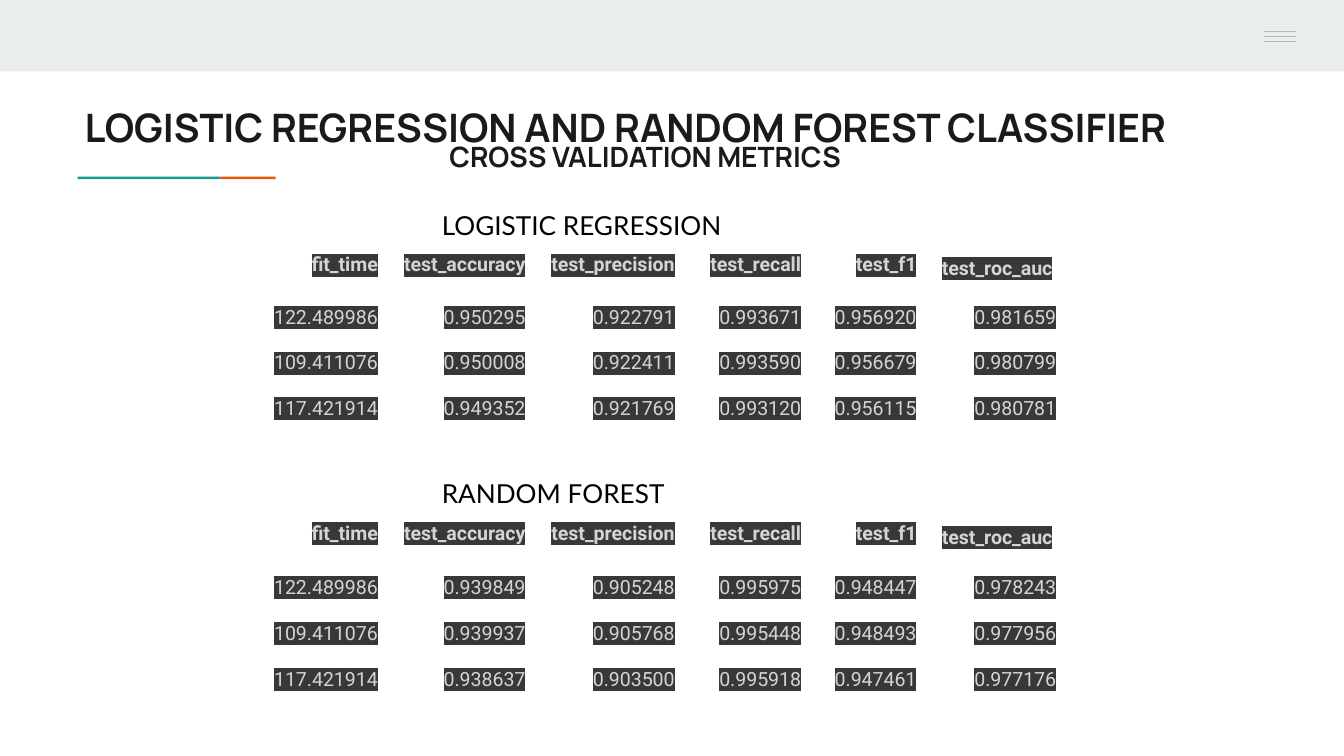
from lxml import etree
from pptx import Presentation
from pptx.dml.color import RGBColor
from pptx.enum import shapes, text
from pptx.oxml.ns import qn
from pptx.util import Cm, Pt

# Content
TITLE = "LOGISTIC REGRESSION AND RANDOM FOREST CLASSIFIER"
SUB = "CROSS VALIDATION METRICS"
HEAD = ["fit_time", "test_accuracy", "test_precision",
        "test_recall", "test_f1", "test_roc_auc"]
# Label, label top, table top, rows
MODELS = [
    ("LOGISTIC REGRESSION", 3.71, 4.55, [
        ["122.489986", "0.950295", "0.922791", "0.993671", "0.956920", "0.981659"],
        ["109.411076", "0.950008", "0.922411", "0.993590", "0.956679", "0.980799"],
        ["117.421914", "0.949352", "0.921769", "0.993120", "0.956115", "0.980781"]]),
    ("RANDOM FOREST", 8.77, 9.63, [
        ["122.489986", "0.939849", "0.905248", "0.995975", "0.948447", "0.978243"],
        ["109.411076", "0.939937", "0.905768", "0.995448", "0.948493", "0.977956"],
        ["117.421914", "0.938637", "0.903500", "0.995918", "0.947461", "0.977176"]]),
]
COLS = [2.49, 2.79, 2.82, 2.39, 2.18, 2.64]
ROWS = [0.76, 0.81, 0.86, 0.81]
HUE = {"band": "E9EDEE", "teal": "1A9988", "orange": "EB5600", "menu": "B7B7B7",
       "title": "1A1A1A", "label": "000000", "cell": "D5D5D5", "mark": "383838"}
# Left, top, width, height, colour
BARS = [(0, 0, 25.4, 1.35, "band"),
        (1.47, 3.34, 2.7, 0.05, "teal"),
        (4.17, 3.34, 1.04, 0.05, "orange")]


def rgb(key):
    return RGBColor.from_string(HUE[key])


def style(run, name, size, key, bold=False):
    font = run.font
    font.name, font.size, font.bold = name, Pt(size), bold
    font.color.rgb = rgb(key)


def inset(box, side):
    box.margin_left = box.margin_right = Cm(side)
    box.margin_top = box.margin_bottom = Cm(side)


deck = Presentation()
deck.slide_width, deck.slide_height = Cm(25.4), Cm(14.29)
slide = deck.slides.add_slide(deck.slide_layouts[5])

# Top band and two-colour rule
for x, y, w, h, key in BARS:
    bar = slide.shapes.add_shape(shapes.MSO_SHAPE.RECTANGLE,
                                 Cm(x), Cm(y), Cm(w), Cm(h))
    bar.shadow.inherit = False
    bar.fill.solid()
    bar.fill.fore_color.rgb = rgb(key)
    bar.line.fill.background()

# Menu icon
for i in range(3):
    y = Cm(0.6 + 0.09 * i)
    line = slide.shapes.add_connector(shapes.MSO_CONNECTOR.STRAIGHT,
                                      Cm(23.88), y, Cm(24.49), y)
    line.line.color.rgb = rgb("menu")
    line.line.width = Pt(0.75)
    etree.SubElement(line._element.spPr, qn("a:effectLst"))

# Title
title = slide.shapes.title
title.left, title.top, title.width, title.height = Cm(1.35), Cm(1.7), Cm(21.36), Cm(2.21)
frame = title.text_frame
frame.text = TITLE + "\n" + SUB
frame.word_wrap = True
frame.auto_size = text.MSO_AUTO_SIZE.NONE
frame.vertical_anchor = text.MSO_ANCHOR.TOP
inset(frame, 0.25)
main, sub = frame.paragraphs
for para, size, gap, side in ((main, 21, 1.0, text.PP_ALIGN.LEFT),
                              (sub, 15, 0.64, text.PP_ALIGN.CENTER)):
    para.alignment, para.line_spacing = side, gap
    para.space_before = Pt(0)
    style(para.runs[0], "Manrope", size, "title", True)
sub._p.get_or_add_pPr().set("marL", str(Cm(0.33)))


def fill_cell(cell, word, head, side):
    cell.fill.background()
    inset(cell, side)
    cell.text = word
    para = cell.text_frame.paragraphs[0]
    para.alignment, para.line_spacing = text.PP_ALIGN.RIGHT, 1.15
    run = para.runs[0]
    style(run, "Roboto", 10.5, "cell", head)
    mark = etree.Element(qn("a:highlight"))
    etree.SubElement(mark, qn("a:srgbClr")).set("val", HUE["mark"])
    run.font._element.find(qn("a:solidFill")).addnext(mark)


# Metric tables with their labels
for name, top, start, rows in MODELS:
    grid = slide.shapes.add_table(len(ROWS), len(COLS), Cm(4.83), Cm(start),
                                  Cm(sum(COLS)), Cm(sum(ROWS))).table
    grid.first_row = grid.horz_banding = False
    for col, w in zip(grid.columns, COLS):
        col.width = Cm(w)
    for r, words in enumerate([HEAD] + rows):
        grid.rows[r].height = Cm(ROWS[r])
        for c, word in enumerate(words):
            wide = word == HEAD[-1]
            fill_cell(grid.cell(r, c), word, r == 0, 0.25 if wide else 0.18)

    label = slide.shapes.add_textbox(Cm(8.1), Cm(top), Cm(7.24), Cm(0.64)).text_frame
    label.word_wrap = True
    inset(label, 0.25)
    label.text = name
    style(label.paragraphs[0].runs[0], "Lato", 14, "label")

deck.save("out.pptx")
